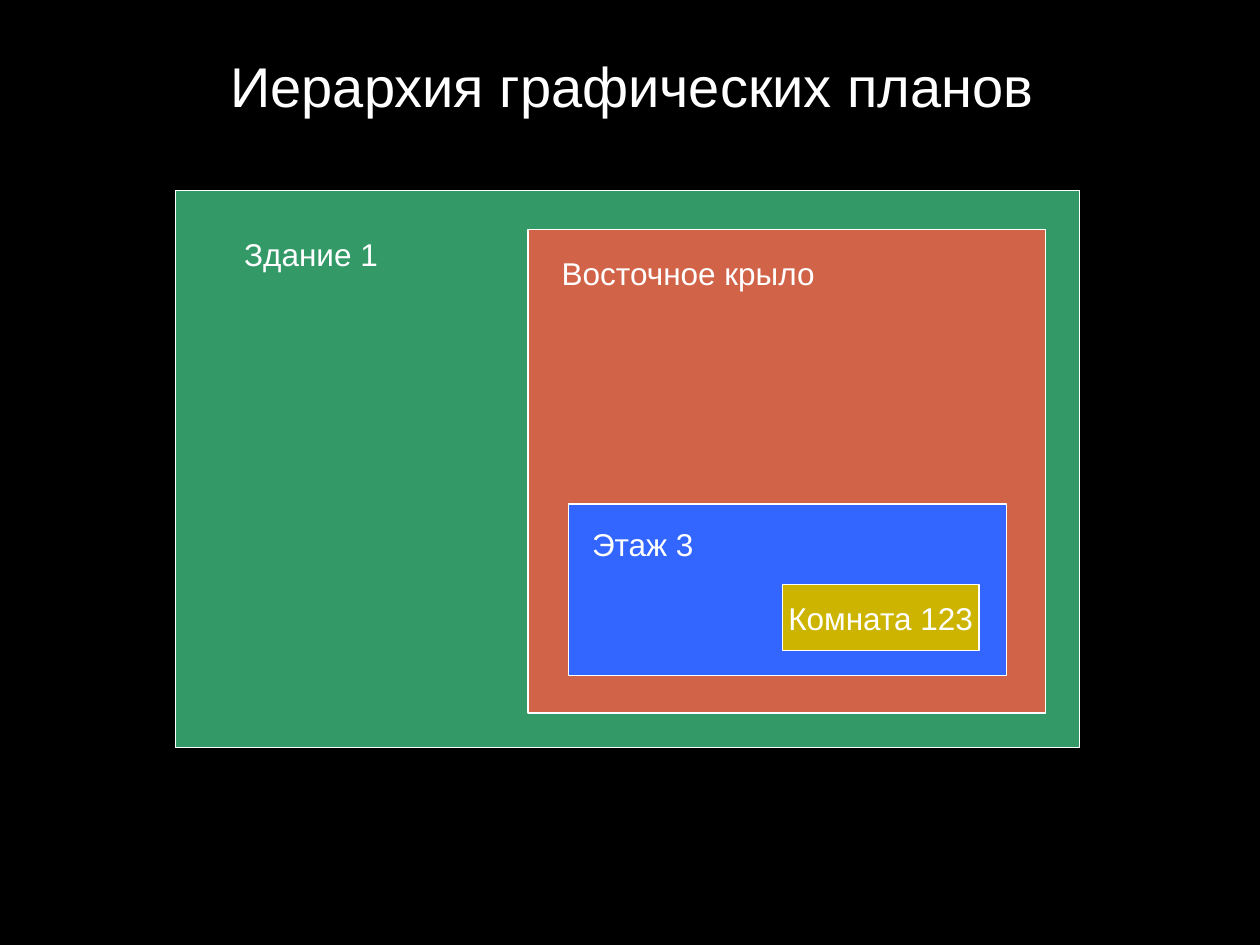
from dataclasses import dataclass
from typing import NamedTuple

from pptx import Presentation
from pptx.dml.color import RGBColor as RGB
from pptx.enum.shapes import MSO_SHAPE as SHAPE
from pptx.enum.text import MSO_ANCHOR as ANCHOR, MSO_AUTO_SIZE as AUTO, PP_ALIGN as ALIGN
from pptx.util import Inches, Pt

COLS, ROWS = 100, 75
CELL = Inches(0.1)


@dataclass(frozen=True)
class Theme:
    """Colours and type sizes of the slide."""
    font: str = "Arial"
    back: str = "000000"
    ink: str = "FFFFFF"
    building: str = "339966"
    wing: str = "D16349"
    floor: str = "3366FF"
    room: str = "CCB400"
    title: float = 32
    label: float = 18
    line: float = 0.75


class Box(NamedTuple):
    """A box in grid columns and rows."""
    x: float
    y: float
    w: float
    h: float

    def inside(self, dx, dy, w, h):
        """Return a box offset from this one's top left corner."""
        return Box(self.x + dx, self.y + dy, w, h)

    def emu(self):
        """Return the box as slide lengths."""
        return [round(v * CELL) for v in self]


THEME = Theme()


def write(s, text, size=THEME.label, align=ALIGN.LEFT, anchor=ANCHOR.TOP,
          wrap=False, fit=AUTO.SHAPE_TO_FIT_TEXT):
    """Put one formatted line of text in a shape."""
    tf = s.text_frame
    tf.word_wrap, tf.auto_size, tf.vertical_anchor = wrap, fit, anchor
    p = tf.paragraphs[0]
    p.alignment = align
    r = p.add_run()
    r.text = text
    r.font.name, r.font.size = THEME.font, Pt(size)
    r.font.color.rgb = RGB.from_string(THEME.ink)


def add_title(sp, box, text):
    """Place the centred slide title."""
    write(sp.add_textbox(*box.emu()), text, size=THEME.title, align=ALIGN.CENTER, wrap=True)


def add_area(sp, box, fill):
    """Draw one outlined area of the plan."""
    s = sp.add_shape(SHAPE.ROUNDED_RECTANGLE, *box.emu())
    s.adjustments[0] = 0
    s.shadow.inherit = False
    s.fill.solid()
    s.fill.fore_color.rgb = RGB.from_string(fill)
    s.line.color.rgb = RGB.from_string(THEME.ink)
    s.line.width = Pt(THEME.line)
    return s


def add_plan(sp, building):
    """Nest wing, floor and room in the building, then label them."""
    wing = building.inside(28, 3.1, 41.1, 38.4)
    floor = wing.inside(3.2, 21.8, 34.8, 13.6)
    room = floor.inside(17, 6.4, 15.6, 5.2)
    for box, fill in ((building, THEME.building), (wing, THEME.wing), (floor, THEME.floor)):
        add_area(sp, box, fill)
    write(add_area(sp, room, THEME.room), "Комната 123",
          align=ALIGN.CENTER, anchor=ANCHOR.MIDDLE, fit=AUTO.NONE)
    for box, text in (
        (building.inside(4.5, 3.1, 12.6, 4), "Здание 1"),
        (wing.inside(1.7, 1.5, 22.2, 4), "Восточное крыло"),
        (floor.inside(0.9, 1.2, 10.1, 4), "Этаж 3"),
    ):
        write(sp.add_textbox(*box.emu()), text)


def main():
    """Build and save the slide."""
    prs = Presentation()
    prs.slide_width, prs.slide_height = COLS * CELL, ROWS * CELL
    slide = prs.slides.add_slide(prs.slide_layouts[6])
    slide.background.fill.solid()
    slide.background.fill.fore_color.rgb = RGB.from_string(THEME.back)
    add_title(slide.shapes, Box(2.2, 3.6, 96, 6.3), "Иерархия графических планов")
    add_plan(slide.shapes, Box(13.9, 15.1, 71.8, 44.2))
    prs.save("out.pptx")


if __name__ == "__main__":
    main()
